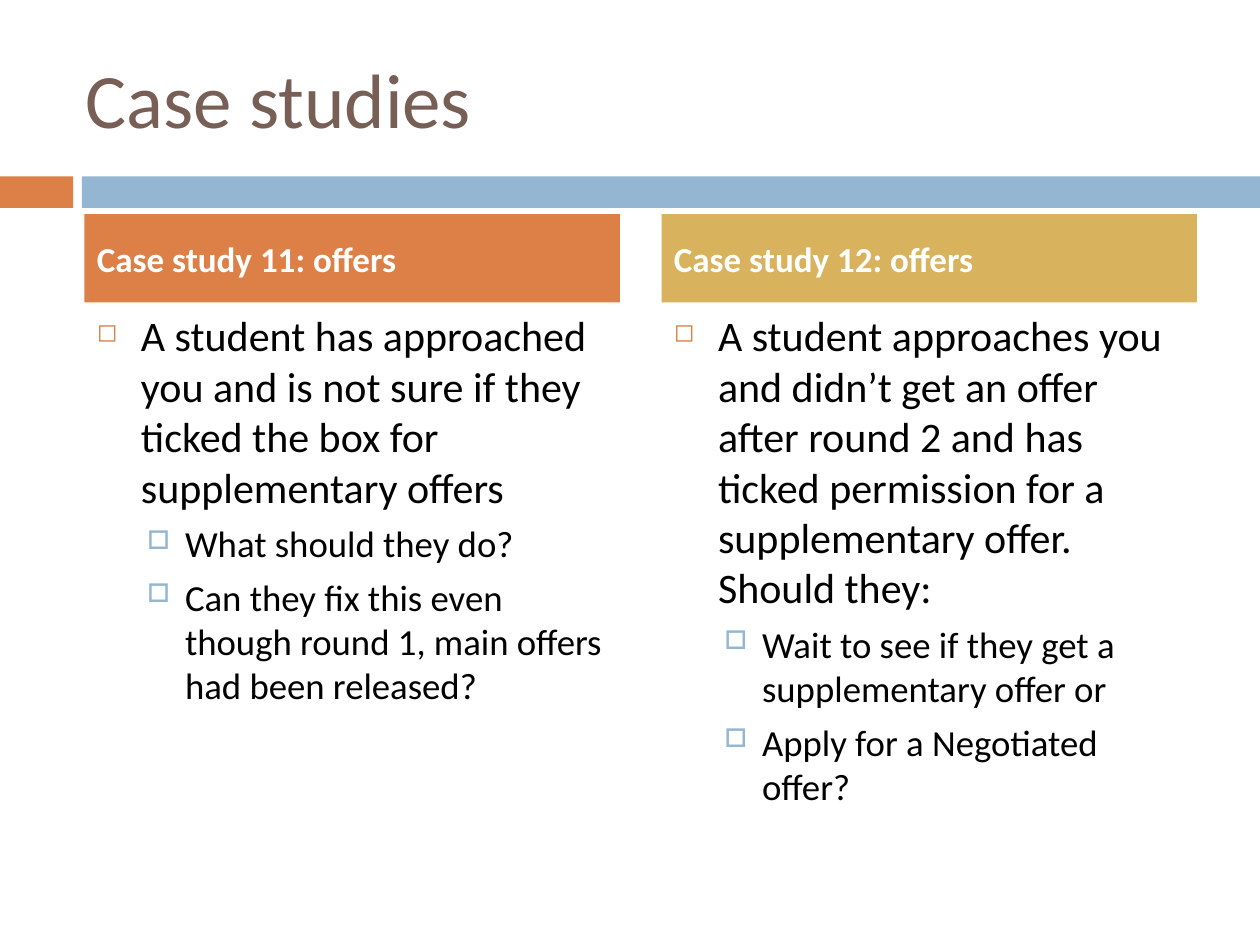
import pptx
import pptx.util
import pptx.dml.color
import pptx.enum.shapes
import pptx.enum.text
import pptx.oxml
import pptx.oxml.ns

Inches = pptx.util.Inches
Pt = pptx.util.Pt
Anchor = pptx.enum.text.MSO_ANCHOR

HUES = {
    "orange": "DD8047",
    "blue": "94B6D2",
    "gold": "D8B25C",
    "brown": "775F55",
    "black": "000000",
    "white": "FFFFFF",
}

# Per list level: text size, space before, left margin, hanging indent, bullet
LEVELS = [
    {"size": 24, "gap": 7, "left": 0.35, "hang": 0.35,
     "mark": "◻", "hue": "orange", "scale": 60},
    {"size": 21, "gap": 5.5, "left": 0.7, "hang": 0.3,
     "mark": "□", "hue": "blue", "scale": 70},
]

CASES = [
    ("Case study 11: offers", "orange", [
        (0, "A student has approached you and is not sure if they ticked "
            "the box for supplementary offers"),
        (1, "What should they do?"),
        (1, "Can they fix this even though round 1, main offers had been "
            "released?"),
    ]),
    ("Case study 12: offers", "gold", [
        (0, "A student approaches you and didn’t get an offer after round 2 "
            "and has ticked permission for a supplementary offer. "
            "Should they:"),
        (1, "Wait to see if they get a supplementary offer or"),
        (1, "Apply for a Negotiated offer?"),
    ]),
]


class Deck:
    """Holds the font and the current slide."""

    def __init__(self, font):
        self.font = font
        self.prs = pptx.Presentation()
        self.prs.slide_width = Inches(10)
        self.prs.slide_height = Inches(7.5)
        self.slide = self.prs.slides.add_slide(self.prs.slide_layouts[6])

    def color(self, hue):
        return pptx.dml.color.RGBColor.from_string(HUES[hue])

    def label(self, para, text, size, hue, bold=False):
        """Add a styled run to the paragraph."""
        run = para.add_run()
        run.text = text
        style = {"name": self.font, "size": Pt(size), "bold": bold}
        for key, value in style.items():
            setattr(run.font, key, value)
        run.font.color.rgb = self.color(hue)

    def frame(self, shape, anchor):
        """Set wrapping and anchor, and return the text frame."""
        frame = shape.text_frame
        style = {"word_wrap": True, "vertical_anchor": anchor}
        for key, value in style.items():
            setattr(frame, key, value)
        return frame

    def bar(self, box, hue):
        shape = self.slide.shapes.add_shape(
            pptx.enum.shapes.MSO_SHAPE.RECTANGLE, *map(Inches, box))
        shape.shadow.inherit = False
        shape.fill.solid()
        shape.fill.fore_color.rgb = self.color(hue)
        shape.line.fill.background()
        return shape

    def head(self, box, text, hue):
        frame = self.frame(self.bar(box, hue), Anchor.MIDDLE)
        para = frame.paragraphs[0]
        para.alignment = pptx.enum.text.PP_ALIGN.LEFT
        self.label(para, text, 20, "white", bold=True)

    def title(self, box, text):
        shape = self.slide.shapes.add_textbox(*map(Inches, box))
        frame = self.frame(shape, Anchor.MIDDLE)
        self.label(frame.paragraphs[0], text, 44, "brown")

    def bullet(self, para, level):
        props = para._p.get_or_add_pPr()
        props.set("marL", str(Inches(level["left"])))
        props.set("indent", str(-Inches(level["hang"])))
        space = pptx.oxml.ns.nsdecls("a")
        for xml in (
            f'<a:buClr {space}><a:srgbClr val="{HUES[level["hue"]]}"/></a:buClr>',
            f'<a:buSzPct {space} val="{level["scale"] * 1000}"/>',
            f'<a:buChar {space} char="{level["mark"]}"/>',
        ):
            props.append(pptx.oxml.parse_xml(xml))

    def items(self, box, rows):
        shape = self.slide.shapes.add_textbox(*map(Inches, box))
        frame = self.frame(shape, Anchor.TOP)
        for i, (depth, text) in enumerate(rows):
            para = frame.add_paragraph() if i else frame.paragraphs[0]
            level = LEVELS[depth]
            para.level = depth
            self.bullet(para, level)
            if i:
                para.space_before = Pt(level["gap"])
            self.label(para, text, level["size"], "black")


def main():
    deck = Deck("Calibri")
    deck.bar((0, 1.4, 0.58, 0.25), "orange")
    deck.bar((0.65, 1.4, 9.35, 0.25), "blue")
    deck.title((0.58, 0.3, 8.92, 0.95), "Case studies")
    left, width, step = 0.67, 4.25, 4.58
    for i, (name, hue, rows) in enumerate(CASES):
        x = left + i * step
        deck.items((x, 2.41, width, 4.8), rows)
        deck.head((x, 1.7, width, 0.7), name, hue)
    deck.prs.save("out.pptx")


if __name__ == "__main__":
    main()
